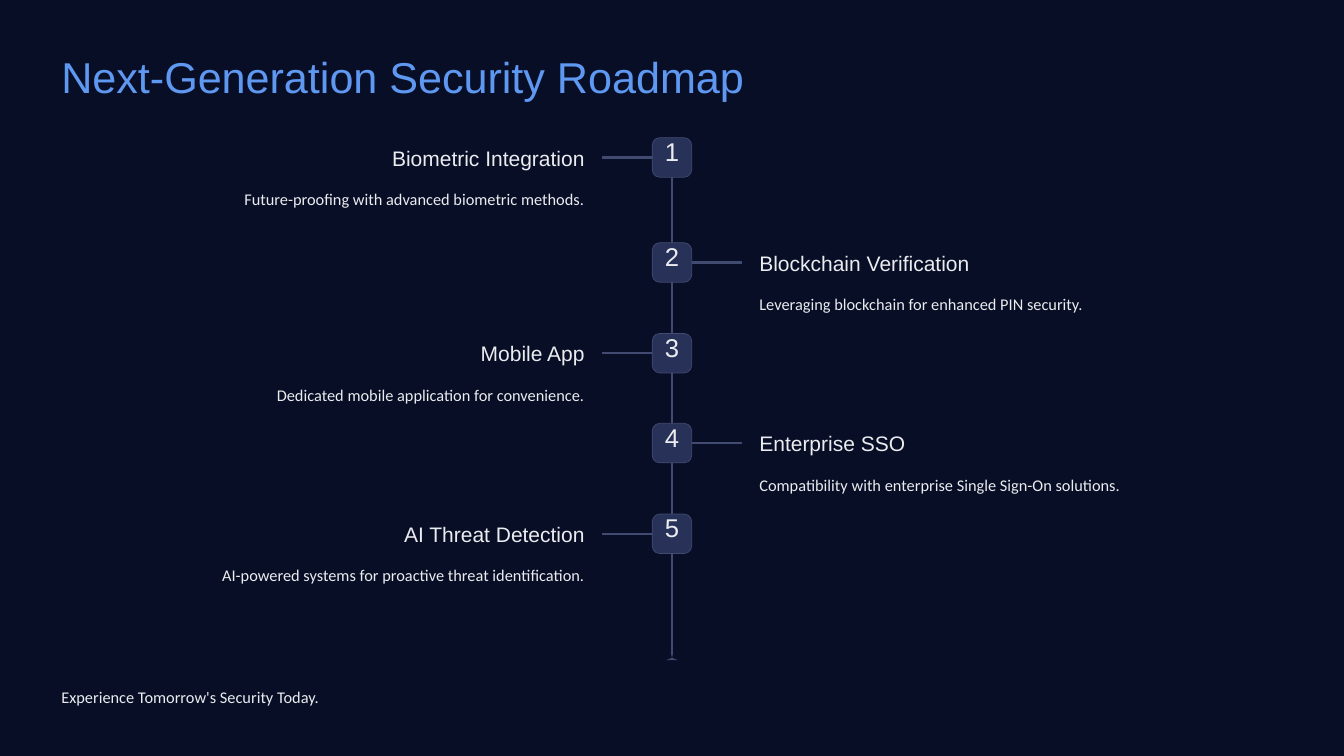
import pptx
import pptx.util
import pptx.dml.color
import pptx.enum.shapes
import pptx.enum.text
import pptx.oxml.ns
from lxml import etree

Inches, Pt = pptx.util.Inches, pptx.util.Pt
ALIGN = pptx.enum.text.PP_ALIGN
COLORS = {"bg": "080E26", "title": "5E98F1", "text": "EBECEF",
          "line": "414A70", "badge": "283157"}

MARGIN, COLUMN_W = 0.73, 6.23
CENTER, BADGE = 8, 0.47
HEADING_W = 2.7

# Top of the step, heading, description
STEPS = [
    (1.64, "Biometric Integration", "Future-proofing with advanced biometric methods."),
    (2.89, "Blockchain Verification", "Leveraging blockchain for enhanced PIN security."),
    (3.97, "Mobile App", "Dedicated mobile application for convenience."),
    (5.04, "Enterprise SSO", "Compatibility with enterprise Single Sign-On solutions."),
    (6.12, "AI Threat Detection", "AI-powered systems for proactive threat identification."),
]


def rgb(name):
    return pptx.dml.color.RGBColor.from_string(COLORS[name])


def add_text(s, text, x, y, w, h, size=14, font="Calibri", color="text",
             align=ALIGN.LEFT, spacing=23.5):
    tf = s.shapes.add_textbox(Inches(x), Inches(y), Inches(w), Inches(h)).text_frame
    tf.word_wrap = True
    tf.margin_left = tf.margin_right = tf.margin_top = tf.margin_bottom = 0
    p = tf.paragraphs[0]
    p.alignment = align
    p.line_spacing = Pt(spacing)
    r = p.add_run()
    r.text = text
    r.font.size = Pt(size)
    r.font.name = font
    r.font.color.rgb = rgb(color)


def add_spine(s, x, top, bottom):
    """Vertical line that pinches and flares out at its foot."""
    half, flare = 0.01, 0.07
    points = [(x - half, bottom - 0.07), (x, bottom - 0.03), (x - flare, bottom),
              (x + flare, bottom), (x, bottom - 0.03), (x + half, bottom - 0.07),
              (x + half, top)]
    builder = s.shapes.build_freeform(Inches(x - half), Inches(top), scale=1.0)
    builder.add_line_segments([(Inches(a), Inches(b)) for a, b in points], close=True)
    sp = builder.convert_to_shape()
    sp.shadow.inherit = False
    sp.fill.solid()
    sp.fill.fore_color.rgb = rgb("line")
    sp.line.fill.background()


def add_badge(s, number, x, y):
    sp = s.shapes.add_shape(pptx.enum.shapes.MSO_SHAPE.ROUNDED_RECTANGLE,
                            Inches(x), Inches(y), Inches(BADGE), Inches(BADGE))
    sp.adjustments[0] = 0.19
    sp.shadow.inherit = False
    sp.fill.solid()
    sp.fill.fore_color.rgb = rgb("badge")
    sp.line.color.rgb = rgb("line")
    sp.line.width = Pt(0.6)
    add_text(s, str(number), x + 0.08, y + 0.04, 0.31, 0.39, size=22, font="Arial",
             align=ALIGN.CENTER, spacing=22)
    return sp


def add_branch(s, badge, side, x, y):
    cn = s.shapes.add_connector(pptx.enum.shapes.MSO_CONNECTOR.STRAIGHT,
                                Inches(CENTER), Inches(y), Inches(x), Inches(y))
    cn.begin_connect(badge, side)
    cn.end_y = cn.begin_y
    cn.line.color.rgb = rgb("line")
    cn.line.width = Pt(1.75)
    etree.SubElement(cn._element.spPr, pptx.oxml.ns.qn("a:effectLst"))


def add_step(s, number, top, heading, description):
    on_left = number % 2 == 1
    badge = add_badge(s, number, CENTER - BADGE / 2, top)
    add_branch(s, badge, 1 if on_left else 3,
               CENTER + (-0.83 if on_left else 0.83), top + BADGE / 2)
    column_x = MARGIN if on_left else 16 - MARGIN - COLUMN_W
    heading_x = column_x + COLUMN_W - HEADING_W if on_left else column_x
    align = ALIGN.RIGHT if on_left else ALIGN.LEFT
    add_text(s, heading, heading_x, top + 0.07, HEADING_W, 0.33, size=18,
             font="Arial", align=align, spacing=23)
    add_text(s, description, column_x, top + 0.52, COLUMN_W, 0.33, align=align)


def main():
    prs = pptx.Presentation()
    prs.slide_width, prs.slide_height = Inches(16), Inches(9)
    s = prs.slides.add_slide(prs.slide_layouts[6])
    s.background.fill.solid()
    s.background.fill.fore_color.rgb = rgb("bg")

    # Title
    add_text(s, "Next-Generation Security Roadmap", MARGIN, 0.57, 8.86, 0.65,
             size=37, font="Arial", color="title", spacing=46.5)

    # Timeline
    add_spine(s, CENTER, 1.64, 7.86)
    for number, step in enumerate(STEPS, 1):
        add_step(s, number, *step)

    # Closing line
    add_text(s, "Experience Tomorrow's Security Today.", MARGIN, 8.09,
             16 - 2 * MARGIN, 0.33)
    prs.save("out.pptx")


if __name__ == "__main__":
    main()
